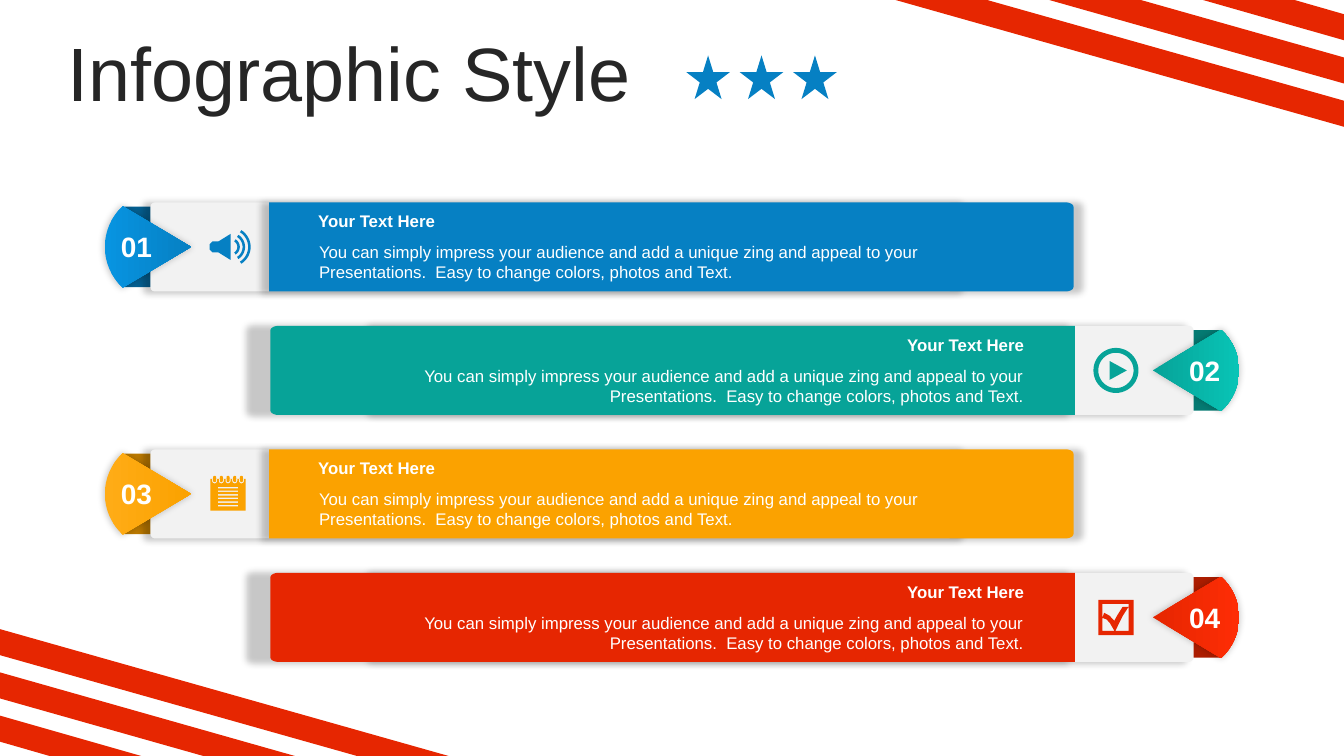
from math import cos, radians, sin

from lxml.etree import SubElement
from pptx import Presentation
from pptx.dml.color import RGBColor
from pptx.enum.shapes import MSO_SHAPE as Shape
from pptx.enum.text import MSO_ANCHOR as Anchor, MSO_AUTO_SIZE as AutoSize, PP_ALIGN as Align
from pptx.oxml.ns import qn
from pptx.util import Emu, Pt

COLUMNS, ROWS = 160, 90
CELL = 76200  # one grid cell, a twelfth of an inch

WHITE = RGBColor(0xFF, 0xFF, 0xFF)
INK = RGBColor(0x26, 0x26, 0x26)
PALE = RGBColor(0xF2, 0xF2, 0xF2)
BLUE, BLUE_DARK, BLUE_LIGHT = RGBColor(0x06, 0x80, 0xC3), RGBColor(0x05, 0x60, 0x92), RGBColor(0x07, 0x94, 0xE1)
TEAL, TEAL_DARK, TEAL_LIGHT = RGBColor(0x07, 0xA3, 0x98), RGBColor(0x05, 0x7A, 0x72), RGBColor(0x08, 0xC4, 0xB6)
GOLD, GOLD_DARK, GOLD_LIGHT = RGBColor(0xFB, 0xA2, 0x00), RGBColor(0xBC, 0x7A, 0x00), RGBColor(0xFF, 0xAC, 0x16)
RED, RED_DARK, RED_LIGHT = RGBColor(0xE6, 0x26, 0x01), RGBColor(0xAC, 0x1D, 0x01), RGBColor(0xFE, 0x2D, 0x05)

HEADING = "Your Text Here"
BODY = ("You can simply impress your audience and add a unique zing and appeal to your "
        "Presentations.  Easy to change colors, photos and Text.")


def cells(count):
    return Emu(round(count * CELL))


def arc(x, y, radius_x, radius_y, start, end, steps=16):
    """Points along an elliptic arc; angles run clockwise from the right."""
    angles = [radians(start + (end - start) * i / steps) for i in range(steps + 1)]
    return [(x + radius_x * cos(a), y + radius_y * sin(a)) for a in angles]


def rectangle(left, top, right, bottom):
    return [(left, top), (right, top), (right, bottom), (left, bottom)]


def mirror(points):
    return [(COLUMNS - x, y) for x, y in points]


class Canvas:
    font = "Arial"

    def __init__(self, deck):
        self.page = deck.slides.add_slide(deck.slide_layouts[6])

    def finish(self, shape, fill, shadow=False, shift=0):
        """Fill a shape with one colour or a left-to-right pair, without outline."""
        if isinstance(fill, tuple) and not isinstance(fill, RGBColor):
            shape.fill.gradient()
            shape.fill.gradient_angle = 0
            for stop, color in zip(shape.fill.gradient_stops, fill):
                stop.color.rgb = color
        else:
            shape.fill.solid()
            shape.fill.fore_color.rgb = fill
        shape.line.fill.background()
        shape.shadow.inherit = False
        if shadow:
            effects = shape._element.spPr.find(qn("a:effectLst"))
            outer = SubElement(effects, qn("a:outerShdw"), blurRad=str(Pt(5)), dist=str(cells(shift)),
                               dir="10800000", sx="102000", sy="102000", algn="ctr", rotWithShape="0")
            color = SubElement(outer, qn("a:srgbClr"), val="000000")
            SubElement(color, qn("a:alpha"), val="22000")

    def preset(self, kind, left, top, width, height, fill, adjust=None, **effect):
        shape = self.page.shapes.add_shape(kind, cells(left), cells(top), cells(width), cells(height))
        if adjust is not None:
            shape.adjustments[0] = adjust
        self.finish(shape, fill, **effect)

    def outline(self, contours, fill, **effect):
        builder = None
        for contour in contours:
            points = [(cells(x), cells(y)) for x, y in contour]
            if builder is None:
                builder = self.page.shapes.build_freeform(*points[0], scale=1.0)
            else:
                builder.move_to(*points[0])
            builder.add_line_segments(points[1:], close=True)
        self.finish(builder.convert_to_shape(), fill, **effect)

    def label(self, text, left, top, width, height, size=12, color=WHITE, bold=False, align=Align.LEFT,
              anchor=Anchor.TOP, side=1.2, spacing=None, fit=AutoSize.SHAPE_TO_FIT_TEXT):
        box = self.page.shapes.add_textbox(cells(left), cells(top), cells(width), cells(height))
        frame = box.text_frame
        frame.word_wrap = True
        frame.auto_size = fit
        frame.vertical_anchor = anchor
        frame.margin_left = frame.margin_right = cells(side)
        para = frame.paragraphs[0]
        para.alignment = align
        para.line_spacing = spacing
        span = para.add_run()
        span.text = text
        span.font.name, span.font.size, span.font.bold = self.font, Pt(size), bold
        span.font.color.rgb = color

    def icon(self, contours, x, y, fill):
        self.outline([[(x + dx, y + dy) for dx, dy in contour] for contour in contours], fill)


# Icons, as contours around their own centre
def speaker():
    horn = [(0.3, -1.55), (0.3, 1.55), (-1.15, 0.65), (-1.85, 0.65),
            (-2.2, 0.3), (-2.2, -0.3), (-1.85, -0.65), (-1.15, -0.65)]
    waves = [arc(0.33, 0, r, r, -58, 58) + arc(0.33, 0, r - 0.3, r - 0.3, 58, -58)
             for r in (1.07, 1.7, 2.36)]
    return [horn] + waves


def play():
    return [[(-0.75, -1.12), (1.3, 0), (-0.75, 1.12)],
            arc(0, 0, 2.1, 2.1, 0, 360, 48), arc(0, 0, 2.68, 2.68, 0, 360, 48)]


def notebook():
    contours = [rectangle(-2.1, -1.8, 2.1, 1.98)]
    for i in range(6):
        y = -0.83 + 0.43 * i
        contours.append(rectangle(-1.2, y, 1.2, y + 0.17))
    for i in range(5):
        x = -1.6 + 0.8 * i
        contours.append([(x - 0.3, -1.8), (x + 0.3, -1.8)] + arc(x, -1.55, 0.3, 0.3, 0, 180))
        contours.append(arc(x, -1.58, 0.18, 0.18, 0, 180) + arc(x, -1.97, 0.18, 0.18, 180, 360))
    return contours


def checkbox():
    inside = [(-1.6, -1.6), (-1.6, 1.6), (-0.18, 1.6), (-0.7, 0.7), (-1.1, 0.25), (-1.6, 0.06),
              (-1.4, -0.55), (-0.75, -0.2), (-0.2, 0.4), (0.2, -0.3), (0.8, -1.25), (1.5, -1.25),
              (0.8, -0.15), (-0.06, 1.6), (1.5, 1.6), (1.5, -1.6)]
    return [inside, rectangle(-2.1, -2.1, 2.1, 2.1)]


def add_stripes(canvas):
    corner = []
    for i in range(3):
        x, y = 53.4 - 18.3 * i, 74.9 + 5.15 * i
        corner.append([(0, y), (x, ROWS), (x - 10.9, ROWS), (0, y + 3.1)])
    canvas.outline(corner, RED)
    canvas.outline([[(COLUMNS - x, ROWS - y) for x, y in stripe] for stripe in corner], RED)


def add_banner(canvas, index, colors, icon):
    color, dark, light = colors
    on_right = index % 2 == 1
    top = 24.1 + 14.7 * index
    height, band_left, band_right = 10.6, 32.05, 127.8
    middle, bottom = top + height / 2, top + height
    shift = 1.9 if on_right else 0

    def place(left, width):
        return COLUMNS - left - width if on_right else left

    def turn(points):
        return mirror(points) if on_right else points

    # Folded tab and pale strip
    canvas.preset(Shape.RECTANGLE, place(14.8, 9.5), top + 0.5, 9.5, 9.6, dark)
    canvas.preset(Shape.ROUNDED_RECTANGLE, place(17.9, 95.6), top, 95.6, height, PALE,
                  adjust=0.05, shadow=True, shift=shift)

    # Number sector
    sector = [(22.75, middle)] + arc(19.03, middle, 6.55, 6.55, 132.2, 227.8)
    canvas.outline([turn(sector)], (color, light) if on_right else (light, color), shadow=True)

    # Coloured band, rounded at its outer end
    band = ([(band_left, top)]
            + arc(band_right - 0.96, top + 0.54, 0.96, 0.54, -90, 0)
            + arc(band_right - 0.96, bottom - 0.54, 0.96, 0.54, 0, 90)
            + [(band_left, bottom)])
    canvas.outline([turn(band)], color, shadow=True, shift=shift)

    # Words and icon
    align = Align.RIGHT if on_right else Align.LEFT
    canvas.label(f"{index + 1:02}", place(13, 6.84), top + 2.65, 6.84, 5.25, size=20, bold=True, side=1.4)
    canvas.label(BODY, 36.8, top + 4.1, 86.3, 6, align=align)
    canvas.label(HEADING, 36.7, top + 0.45, 86.4, 3.6, bold=True, align=align)
    canvas.icon(icon(), place(27.15, 0), middle, color)


def main():
    deck = Presentation()
    deck.slide_width, deck.slide_height = cells(COLUMNS), cells(ROWS)
    canvas = Canvas(deck)
    add_stripes(canvas)

    # Title and stars
    canvas.label("Infographic Style", 6.85, 4.45, 145, 9.5, size=54, color=INK,
                 anchor=Anchor.MIDDLE, spacing=0.9, fit=AutoSize.NONE)
    for i in range(3):
        canvas.preset(Shape.STAR_5_POINT, 81.7 + 6.36 * i, 6.6, 5.2, 5.2, BLUE)

    # Banners, alternating left and right
    banners = [((BLUE, BLUE_DARK, BLUE_LIGHT), speaker), ((TEAL, TEAL_DARK, TEAL_LIGHT), play),
               ((GOLD, GOLD_DARK, GOLD_LIGHT), notebook), ((RED, RED_DARK, RED_LIGHT), checkbox)]
    for index, (colors, icon) in enumerate(banners):
        add_banner(canvas, index, colors, icon)
    deck.save("out.pptx")


if __name__ == "__main__":
    main()
